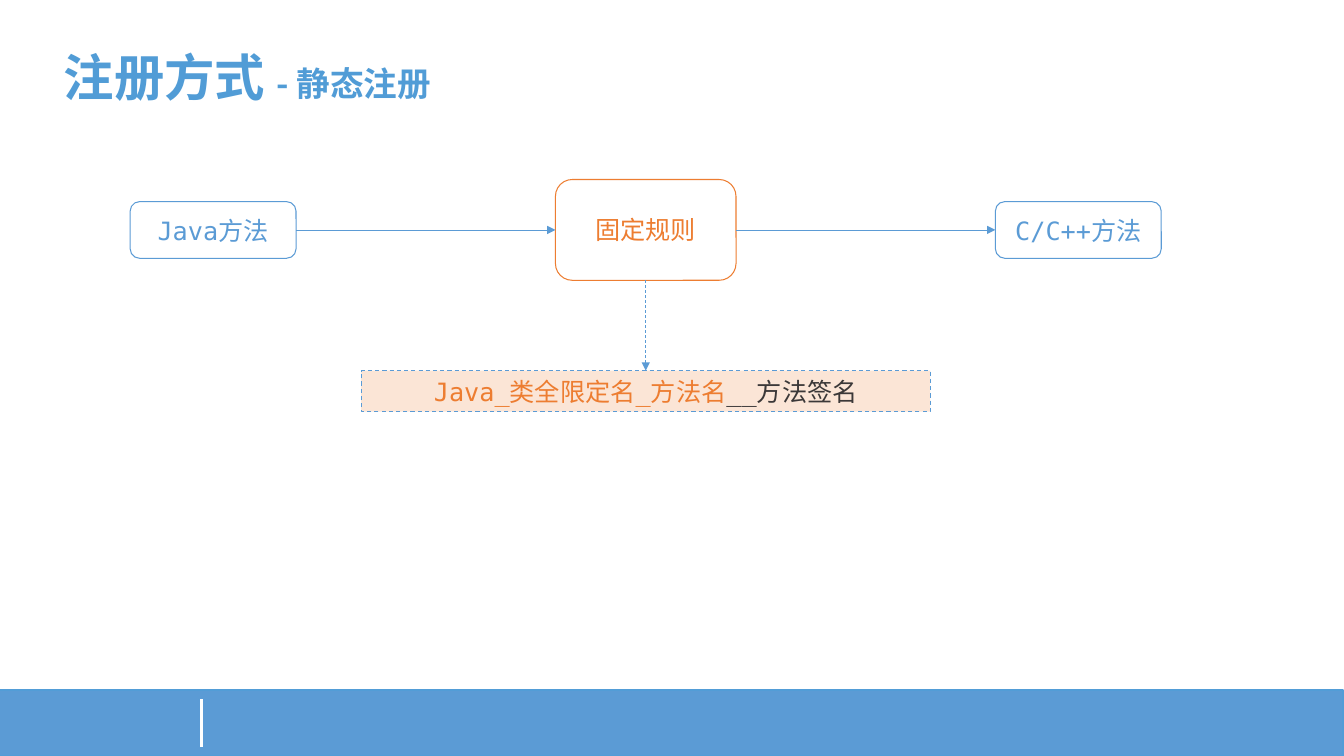
from dataclasses import dataclass

from lxml.etree import SubElement
from pptx import Presentation
from pptx.dml.color import RGBColor
from pptx.enum.dml import MSO_LINE
from pptx.enum.shapes import MSO_CONNECTOR, MSO_SHAPE
from pptx.enum.text import MSO_ANCHOR, PP_ALIGN
from pptx.oxml.ns import qn
from pptx.util import Pt

PX = 9525  # EMU per px, 96 px to the inch
TOP, LEFT, BOTTOM, RIGHT = range(4)


@dataclass(frozen=True)
class Theme:
    blue: RGBColor = RGBColor.from_string("5B9BD5")
    title_blue: RGBColor = RGBColor.from_string("519CD6")
    bar_line: RGBColor = RGBColor.from_string("529DD7")
    orange: RGBColor = RGBColor.from_string("ED7D31")
    peach: RGBColor = RGBColor.from_string("FBE5D6")
    dark: RGBColor = RGBColor.from_string("3B3838")
    white: RGBColor = RGBColor.from_string("FFFFFF")
    title_size: Pt = Pt(36)
    subtitle_size: Pt = Pt(24)
    body_size: Pt = Pt(18)
    cjk_font: str = "Noto Sans CJK SC"
    mono_font: str = "DejaVu Sans Mono"


theme = Theme()


def set_font(paragraph, name, size, align):
    paragraph.alignment = align
    paragraph.font.name = name
    paragraph.font.size = size
    defaults = paragraph._p.pPr.find(qn("a:defRPr"))
    SubElement(defaults, qn("a:ea"), typeface=theme.cjk_font)


def add_box(preset, x, y, width, height, line_color, parts):
    """Add an outlined box with one centred line of (text, colour) parts."""
    shape = slide.shapes.add_shape(preset, x * PX, y * PX, width * PX, height * PX)
    shape.shadow.inherit = False
    shape.fill.background()
    shape.line.color.rgb = line_color
    shape.line.width = Pt(0.75)
    frame = shape.text_frame
    frame.margin_left = frame.margin_right = 0
    frame.vertical_anchor = MSO_ANCHOR.MIDDLE
    paragraph = frame.paragraphs[0]
    set_font(paragraph, theme.mono_font, theme.body_size, PP_ALIGN.CENTER)
    for text, color in parts:
        run = paragraph.add_run()
        run.text = text
        run.font.color.rgb = color
    return shape


presentation = Presentation()
presentation.slide_width, presentation.slide_height = 1280 * PX, 720 * PX
slide = presentation.slides.add_slide(presentation.slide_layouts[5])

# Footer bar and its divider
bar = slide.shapes.add_shape(MSO_SHAPE.RECTANGLE, -1 * PX, 657 * PX, 1280 * PX, 63 * PX)
bar.shadow.inherit = False
bar.fill.solid()
bar.fill.fore_color.rgb = theme.blue
bar.line.color.rgb = theme.bar_line
bar.line.width = Pt(1.5)
divider = slide.shapes.add_connector(
    MSO_CONNECTOR.STRAIGHT, 192 * PX, 666 * PX, 192 * PX, 711 * PX)
divider.line.color.rgb = theme.white
divider.line.width = Pt(2.25)
SubElement(divider._element.spPr, qn("a:effectLst"))

# Title
title = slide.shapes.title
title.left, title.top, title.width, title.height = 51 * PX, 39 * PX, 512 * PX, 68 * PX
title.text_frame.vertical_anchor = MSO_ANCHOR.TOP
heading = title.text_frame.paragraphs[0]
heading.font.bold = True
heading.font.color.rgb = theme.title_blue
set_font(heading, theme.cjk_font, theme.title_size, PP_ALIGN.LEFT)
for text, size in (("注册方式 ", theme.title_size), ("- 静态注册", theme.subtitle_size)):
    run = heading.add_run()
    run.text = text
    run.font.size = size

# Method boxes, the rule between them, and its pattern
rounded = MSO_SHAPE.ROUNDED_RECTANGLE
java = add_box(rounded, 124, 192, 158, 54, theme.blue, [("Java方法", theme.blue)])
native = add_box(rounded, 948, 192, 158, 54, theme.blue, [("C/C++方法", theme.blue)])
rule = add_box(rounded, 529, 171, 172, 96, theme.orange, [("固定规则", theme.orange)])
pattern = add_box(
    MSO_SHAPE.RECTANGLE, 344, 353, 542, 39, theme.blue,
    [("Java_类全限定名_方法名", theme.orange), ("__方法签名", theme.dark)])
pattern.fill.solid()
pattern.fill.fore_color.rgb = theme.peach
pattern.line.dash_style = MSO_LINE.DASH

# Arrows
for start, start_side, end, end_side, dash in (
    (java, RIGHT, rule, LEFT, None),
    (rule, RIGHT, native, LEFT, None),
    (rule, BOTTOM, pattern, TOP, MSO_LINE.DASH),
):
    arrow = slide.shapes.add_connector(MSO_CONNECTOR.STRAIGHT, 0, 0, 0, 0)
    arrow.begin_connect(start, start_side)
    arrow.end_connect(end, end_side)
    arrow.line.color.rgb = theme.blue
    arrow.line.width = Pt(0.5)
    arrow.line.dash_style = dash
    SubElement(arrow.line._get_or_add_ln(), qn("a:tailEnd"), type="triangle")
    SubElement(arrow._element.spPr, qn("a:effectLst"))

presentation.save("out.pptx")
